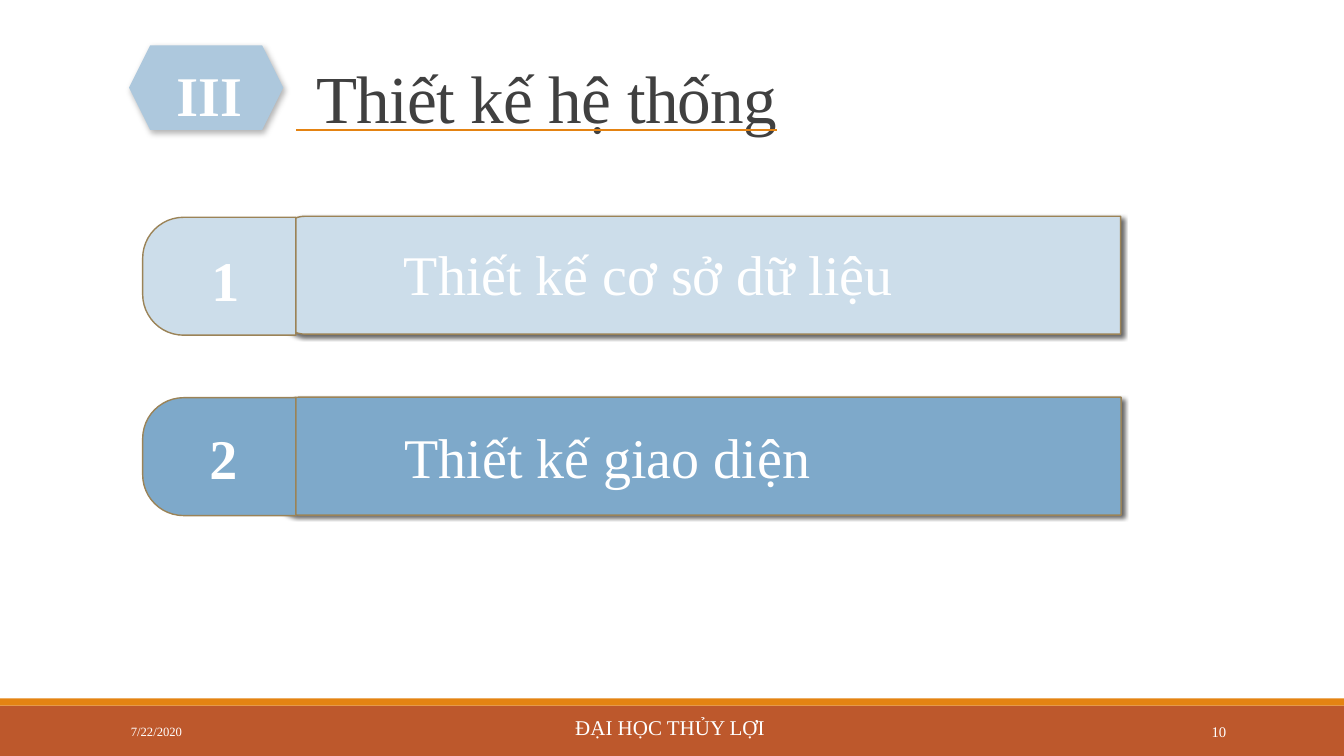
from lxml import etree
from pptx import Presentation
from pptx import util as u
from pptx.dml.color import RGBColor
from pptx.enum import shapes, text
from pptx.oxml import ns

Inches, Pt = u.Inches, u.Pt
Align, Anchor = text.PP_ALIGN, text.MSO_ANCHOR
Preset = shapes.MSO_SHAPE


def color(value):
    """Turn a hex string into a colour."""
    return RGBColor.from_string(value)


def lengths(*values):
    """Turn numbers of inches into lengths."""
    return [Inches(value) for value in values]


class SlideBuilder:
    """Holds the style and the current slide."""

    font = "Times New Roman"
    white, orange, rust = "FFFFFF", "E48312", "BD582C"
    outline, dark = "9B8357", "404040"

    def __init__(self, presentation):
        """Add a title-only slide."""
        self.slide = presentation.slides.add_slide(presentation.slide_layouts[5])

    def set_text(self, frame, words, size, fill, align, anchor, bold=False):
        """Fill a text frame with one formatted paragraph and return it."""
        frame.word_wrap = True
        frame.auto_size = text.MSO_AUTO_SIZE.NONE
        frame.vertical_anchor = anchor
        paragraph = frame.paragraphs[0]
        paragraph.text = words
        paragraph.alignment = align
        font = paragraph.font
        font.name, font.size, font.bold = self.font, Pt(size), bold
        font.color.rgb = color(fill)
        return paragraph

    def title(self, words, box, indent):
        """Place the title with its text set in from the left."""
        shape = self.slide.shapes.title
        shape.left, shape.top, shape.width, shape.height = lengths(*box)
        paragraph = self.set_text(shape.text_frame, words, 48, self.dark,
                                  Align.LEFT, Anchor.BOTTOM)
        shape.text_frame.margin_left = Inches(indent)
        paragraph.line_spacing = 0.85
        paragraph.runs[0]._r.get_or_add_rPr().set("spc", "-50")

    def label(self, words, box, size, align=Align.CENTER,
              anchor=Anchor.MIDDLE, bold=False):
        """Add a white text box."""
        shape = self.slide.shapes.add_textbox(*lengths(*box))
        self.set_text(shape.text_frame, words, size, self.white, align, anchor, bold)

    def shape(self, preset, box, fill, line=None):
        """Add a plain preset shape."""
        shape = self.slide.shapes.add_shape(preset, *lengths(*box))
        shape.shadow.inherit = False
        shape.fill.solid()
        shape.fill.fore_color.rgb = color(fill)
        if line:
            shape.line.color.rgb = color(line)
            shape.line.width = Pt(1)
        else:
            shape.line.fill.background()
        return shape

    def left_rounded(self, box, fill, radius):
        """Add an upright shape turned so that its round corners face left."""
        shape = self.shape(Preset.ROUND_2_SAME_RECTANGLE, box, fill, self.outline)
        shape.rotation = 270
        shape.adjustments[0], shape.adjustments[1] = radius, 0
        return shape

    def shadow(self, shape, opacity, blur, distance, angle):
        """Give a shape a black outer shadow."""
        effects = shape._element.spPr.find(ns.qn("a:effectLst"))
        outer = etree.SubElement(
            effects, ns.qn("a:outerShdw"), blurRad=str(Pt(blur)),
            dist=str(Pt(distance)), dir=str(angle * 60000), rotWithShape="0")
        black = etree.SubElement(outer, ns.qn("a:srgbClr"), val="000000")
        etree.SubElement(black, ns.qn("a:alpha"), val=str(opacity * 1000))

    def line(self, start, end, fill, width):
        """Add a straight line without a shadow."""
        connector = self.slide.shapes.add_connector(
            shapes.MSO_CONNECTOR.STRAIGHT, *lengths(*start, *end))
        connector.line.color.rgb = color(fill)
        connector.line.width = Pt(width)
        etree.SubElement(connector._element.spPr, ns.qn("a:effectLst"))

    def item(self, number, words, fill, bar, tab, number_box, words_box):
        """Add a numbered bar: long bar, tab, number and wording."""
        self.shadow(self.left_rounded(bar, fill, 0.233), 60, 3, 2, 45)
        self.left_rounded(tab, fill, 0.347)
        self.label(words, words_box, 40, anchor=Anchor.TOP)
        self.label(number, number_box, 40, bold=True)


presentation = Presentation()
presentation.slide_width, presentation.slide_height = lengths(13.33, 7.5)
builder = SlideBuilder(presentation)

builder.shape(Preset.RECTANGLE, (0, 7, 13.33, 0.5), builder.rust)
builder.shape(Preset.RECTANGLE, (0, 6.93, 13.33, 0.07), builder.orange)
builder.title("Thiết kế hệ thống", (1.26, 0.3, 11, 1.11), 1.88)

hexagon = builder.shape(Preset.HEXAGON, (1.28, 0.45, 1.53, 0.84), "ADC8DD")
builder.shadow(hexagon, 30, 4.5, 2.6, 53)
builder.label("III", (1.51, 0.55, 1.13, 0.77), 40, bold=True)

builder.item("1", "Thiết kế cơ sở dữ liệu", "CCDDEA",
             bar=(6.35, -1.45, 1.17, 8.36), tab=(1.59, 1.98, 1.17, 1.52),
             number_box=(1.85, 2.38, 0.77, 0.77),
             words_box=(2.54, 2.33, 7.78, 0.77))
builder.item("2", "Thiết kế giao diện", "7EA9CA",
             bar=(6.32, 0.31, 1.17, 8.43), tab=(1.59, 3.77, 1.17, 1.52),
             number_box=(1.83, 4.15, 0.77, 0.77),
             words_box=(2.14, 4.14, 7.77, 0.77))

builder.line((2.94, 1.29), (7.71, 1.29), builder.orange, 1.5)
builder.label("7/22/2020", (1.2, 7.06, 2.7, 0.4), 9, Align.LEFT)
builder.label("ĐẠI HỌC THỦY LỢI", (1.2, 6.96, 10.89, 0.51), 15)
builder.label("10", (10.83, 7.06, 1.43, 0.4), 10.5, Align.RIGHT)

presentation.save("out.pptx")
